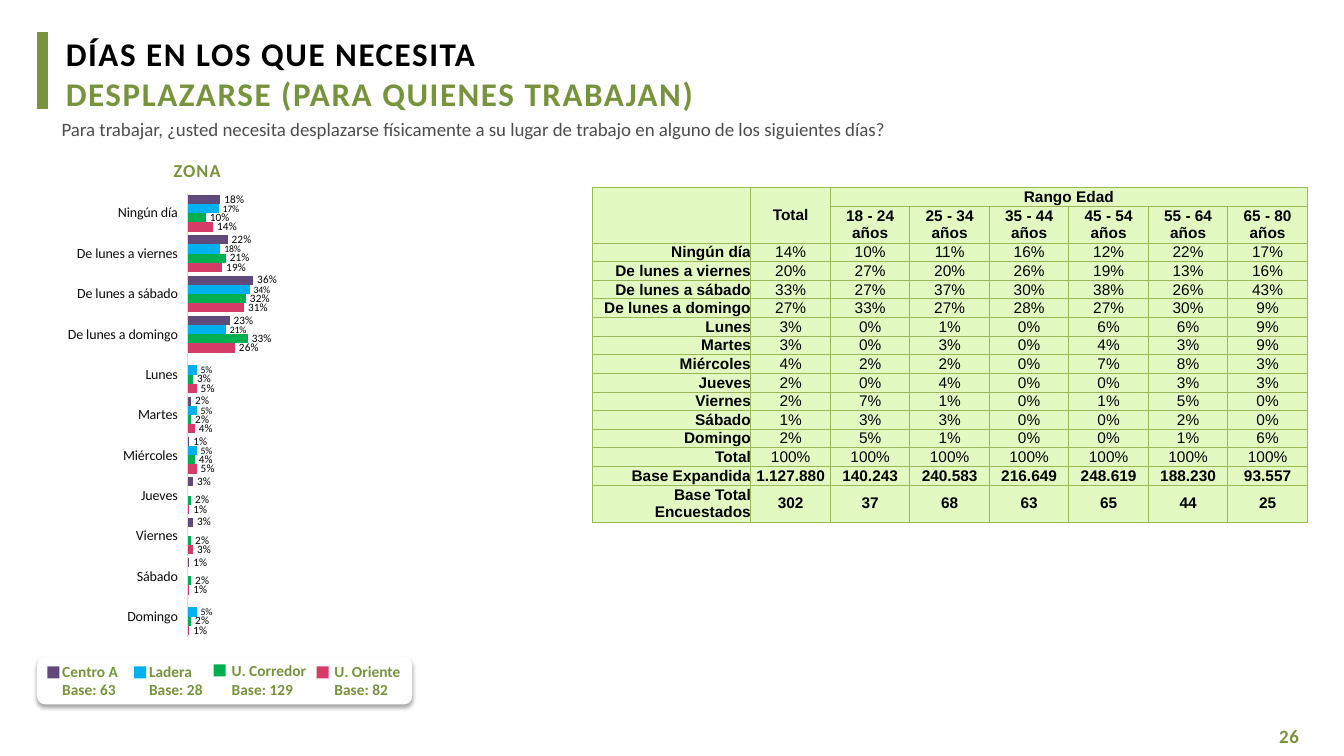
from pptx import Presentation
from pptx.chart.data import CategoryChartData
from pptx.dml.color import RGBColor
from pptx.enum.chart import XL_CHART_TYPE, XL_LABEL_POSITION, XL_TICK_LABEL_POSITION, XL_TICK_MARK
from pptx.enum.shapes import MSO_SHAPE
from pptx.enum.text import MSO_ANCHOR, PP_ALIGN
from pptx.oxml import parse_xml
from pptx.oxml.ns import nsdecls
from pptx.util import Pt

GREEN = RGBColor(0x77, 0x93, 0x3C)
BLACK = RGBColor(0, 0, 0)
WHITE = RGBColor(0xFF, 0xFF, 0xFF)
GRAY = RGBColor(0x4D, 0x4D, 0x4D)
AXIS_TEXT = RGBColor(0x0D, 0x0D, 0x0D)
AXIS_LINE = RGBColor(0xD9, 0xD9, 0xD9)
CELL_FILL = RGBColor(0xE2, 0xFA, 0xC2)
CELL_BORDER = RGBColor(0x98, 0xB9, 0x55)
PURPLE = RGBColor(0x60, 0x4A, 0x7B)
BLUE = RGBColor(0x00, 0xB0, 0xF0)
EMERALD = RGBColor(0x00, 0xB0, 0x50)
PINK = RGBColor(0xD5, 0x3B, 0x67)

DAYS = ["Ningún día", "De lunes a viernes", "De lunes a sábado", "De lunes a domingo", "Lunes",
        "Martes", "Miércoles", "Jueves", "Viernes", "Sábado", "Domingo"]

# Zone, base, colour, label size, percentages per day
ZONES = [
    ("Centro A", 63, PURPLE, 8, [18, 22, 36, 23, None, 2, 1, 3, 3, 1, None]),
    ("Ladera", 28, BLUE, 7, [17, 18, 34, 21, 5, 5, 5, None, None, None, 5]),
    ("U. Corredor", 129, EMERALD, 8, [10, 21, 32, 33, 3, 2, 4, 2, 2, 2, 2]),
    ("U. Oriente", 82, PINK, 8, [14, 19, 31, 26, 5, 4, 5, 1, 3, 1, 1]),
]
# Left, top and width of each legend text, then left and top of its key
LEGEND_PLACES = [
    (37.4, 469.4, 54.7, 33.8, 475.9),
    (99.4, 469.4, 53.3, 95.8, 475.9),
    (158.4, 468.7, 68.4, 152.6, 474.5),
    (231.8, 469.4, 62.6, 226.1, 475.9),
]

AGES = ["18 - 24", "25 - 34", "35 - 44", "45 - 54", "55 - 64", "65 - 80"]
# Total, then each age range, in percent per day
AGE_SHARES = [
    [14, 10, 11, 16, 12, 22, 17],
    [20, 27, 20, 26, 19, 13, 16],
    [33, 27, 37, 30, 38, 26, 43],
    [27, 33, 27, 28, 27, 30, 9],
    [3, 0, 1, 0, 6, 6, 9],
    [3, 0, 3, 0, 4, 3, 9],
    [4, 2, 2, 0, 7, 8, 3],
    [2, 0, 4, 0, 0, 3, 3],
    [2, 7, 1, 0, 1, 5, 0],
    [1, 3, 3, 0, 0, 2, 0],
    [2, 5, 1, 0, 0, 1, 6],
]
BASES = [
    ["Base Expandida", "1.127.880", "140.243", "240.583", "216.649", "248.619", "188.230", "93.557"],
    ["Base Total Encuestados", "302", "37", "68", "63", "65", "44", "25"],
]


def write(paragraph, text, size=11, font="Calibri", color=GREEN, bold=True, spacing=0,
          align=PP_ALIGN.LEFT):
    paragraph.alignment = align
    run = paragraph.add_run()
    run.text = text
    run.font.size, run.font.name, run.font.bold = Pt(size), font, bold
    run.font.color.rgb = color
    if spacing:
        run.font._element.set("spc", str(round(spacing * 100)))


def add_text(shapes, lines, left, top, width, height, insets=(0.9, 1.4, 0, 0), wrap=True,
             gap=0, colors=None, **style):
    frame = shapes.add_textbox(Pt(left), Pt(top), Pt(width), Pt(height)).text_frame
    frame.word_wrap = wrap
    frame.margin_left, frame.margin_top, frame.margin_right, frame.margin_bottom = map(Pt, insets)
    for i, line in enumerate(lines):
        paragraph = frame.add_paragraph() if i else frame.paragraphs[0]
        if i and gap:
            paragraph.space_before = Pt(gap)
        if colors:
            style["color"] = colors[i]
        write(paragraph, line, **style)


def add_block(shapes, kind, left, top, width, height, color):
    block = shapes.add_shape(kind, Pt(left), Pt(top), Pt(width), Pt(height))
    block.shadow.inherit = False
    block.fill.solid()
    block.fill.fore_color.rgb = color
    block.line.fill.background()
    return block


def add_legend(slide):
    legend = slide.shapes.add_group_shape().shapes
    panel = add_block(legend, MSO_SHAPE.ROUNDED_RECTANGLE, 26.6, 469.4, 267.8, 33.8, WHITE)
    effects = panel._element.spPr.find("{http://schemas.openxmlformats.org/drawingml/2006/main}effectLst")
    effects.append(parse_xml(
        f'<a:outerShdw {nsdecls("a")} blurRad="{Pt(3.1)}" dist="{Pt(1.8)}" dir="5400000" rotWithShape="0">'
        '<a:srgbClr val="000000"><a:alpha val="35000"/></a:srgbClr></a:outerShdw>'))
    for (zone, base, color, _, _), place in zip(ZONES, LEGEND_PLACES):
        left, top, width, key_left, key_top = place
        add_block(legend, MSO_SHAPE.RECTANGLE, key_left, key_top, 8.6, 8.6, color)
        add_text(legend, [zone, f"Base: {base}"], left, top, width, 33.8,
                 insets=(7.2, 3.6, 7.2, 3.6), wrap=False)


def add_zone_chart(slide):
    data = CategoryChartData(number_format="###0%")
    data.categories = DAYS
    for zone, _, _, _, shares in ZONES:
        data.add_series(zone, [None if share is None else share / 100 for share in shares])
    chart = slide.shapes.add_chart(XL_CHART_TYPE.BAR_CLUSTERED, Pt(31.7), Pt(125.3), Pt(242.6),
                                   Pt(342), data).chart
    chart.has_legend = chart.has_title = False
    chart.font.name, chart.font.size = "Calibri", Pt(10)
    chart.font.color.rgb = BLACK

    # Axes
    days, share_axis = chart.category_axis, chart.value_axis
    days.reverse_order = True
    days.major_tick_mark = days.minor_tick_mark = XL_TICK_MARK.NONE
    days.tick_label_position = XL_TICK_LABEL_POSITION.LOW
    days.tick_labels.font.name, days.tick_labels.font.size = "Calibri", Pt(10)
    days.tick_labels.font.color.rgb = AXIS_TEXT
    days.format.line.color.rgb = AXIS_LINE
    days.format.line.width = Pt(0.75)
    share_axis.minimum_scale, share_axis.maximum_scale = 0, 1
    share_axis.has_major_gridlines = share_axis.visible = False

    # Bars and their labels
    plot = chart.plots[0]
    plot.gap_width, plot.overlap, plot.vary_by_categories = 40, 0, False
    for bars, (_, _, color, label_size, _) in zip(plot.series, ZONES):
        bars.invert_if_negative = False
        bars.format.fill.solid()
        bars.format.fill.fore_color.rgb = color
        labels = bars.data_labels
        labels.show_value = True
        labels.position = XL_LABEL_POSITION.OUTSIDE_END
        labels.number_format, labels.number_format_is_linked = "###0%", False
        labels.font.name, labels.font.size = "Calibri", Pt(label_size)
        labels.font.color.rgb = BLACK

    # Fixed plot area
    area = chart._chartSpace.chart.plotArea
    for old in area.findall("{*}layout"):
        area.remove(old)
    sizes = "".join(f'<c:{key} val="{value}"/>' for key, value in
                    (("x", 0.422), ("y", 0.037), ("w", 0.537), ("h", 0.927)))
    area.insert(0, parse_xml(
        f'<c:layout {nsdecls("c")}><c:manualLayout><c:layoutTarget val="inner"/>'
        f'<c:xMode val="edge"/><c:yMode val="edge"/>{sizes}</c:manualLayout></c:layout>'))


def format_cell(cell):
    cell.margin_left = cell.margin_right = cell.margin_top = cell.margin_bottom = 0
    cell.vertical_anchor = MSO_ANCHOR.MIDDLE
    properties = cell._tc.get_or_add_tcPr()
    for side in "LRTB":
        properties.append(parse_xml(
            f'<a:ln{side} {nsdecls("a")} w="{Pt(0.75)}"><a:solidFill>'
            f'<a:srgbClr val="{CELL_BORDER}"/></a:solidFill></a:ln{side}>'))
    cell.fill.solid()
    cell.fill.fore_color.rgb = CELL_FILL


def add_age_table(slide):
    rows = [["", "Total", "Rango Edad"] + [""] * 5, ["", ""] + [f"{age} años" for age in AGES]]
    rows += [[day] + [f"{share}%" for share in shares] for day, shares in zip(DAYS, AGE_SHARES)]
    rows += [["Total"] + ["100%"] * 7] + BASES
    table = slide.shapes.add_table(len(rows), 8, Pt(423.4), Pt(133.9), Pt(510.6), Pt(239)).table
    table.first_row = table.horz_banding = False
    for c, column in enumerate(table.columns):
        column.width = Pt(56.8 if c else 113)
    for r, texts in enumerate(rows):
        table.rows[r].height = Pt(26.4 if r in (1, len(rows) - 1) else 13.3)
        heading = r < 2 or r >= len(rows) - len(BASES)
        for c, text in enumerate(texts):
            cell = table.cell(r, c)
            format_cell(cell)
            if text:
                write(cell.text_frame.paragraphs[0], text, font="Arial", color=BLACK,
                      bold=heading or c == 0, align=PP_ALIGN.CENTER if c else PP_ALIGN.RIGHT)
    for first, last in (((0, 0), (1, 0)), ((0, 1), (1, 1)), ((0, 2), (0, 7))):
        table.cell(*first).merge(table.cell(*last))


def main():
    deck = Presentation()
    deck.slide_width, deck.slide_height = Pt(960), Pt(540)
    slide = deck.slides.add_slide(deck.slide_layouts[6])
    shapes = slide.shapes

    # Heading
    accent = add_block(shapes, MSO_SHAPE.RECTANGLE, 26.6, 23, 7.2, 54.7, GREEN)
    accent.line.color.rgb = GREEN
    accent.line.width = Pt(0.75)
    add_text(shapes, ["DÍAS EN LOS QUE NECESITA", "DESPLAZARSE (PARA QUIENES TRABAJAN)"],
             46.1, 22.3, 530.6, 59, gap=0.7, colors=[BLACK, GREEN], size=23.6, spacing=1.1)
    add_text(shapes, ["Para trabajar, ¿usted necesita desplazarse físicamente a su lugar de trabajo "
                      "en alguno de los siguientes días?"],
             43.2, 82.8, 715, 17.3, size=13.5, color=GRAY, bold=False)

    # Results by zone
    add_text(shapes, ["ZONA"], 55.4, 112.3, 169.9, 16.6, size=13, spacing=0.8,
             align=PP_ALIGN.CENTER)
    add_zone_chart(slide)
    add_legend(slide)

    # Results by age
    add_age_table(slide)

    # Page number
    add_text(shapes, ["26"], 909.4, 516.2, 24.5, 17.3, insets=(4.3, 1.7, 0, 0), size=13.5,
             spacing=0.6, wrap=False)
    deck.save("out.pptx")


if __name__ == "__main__":
    main()
